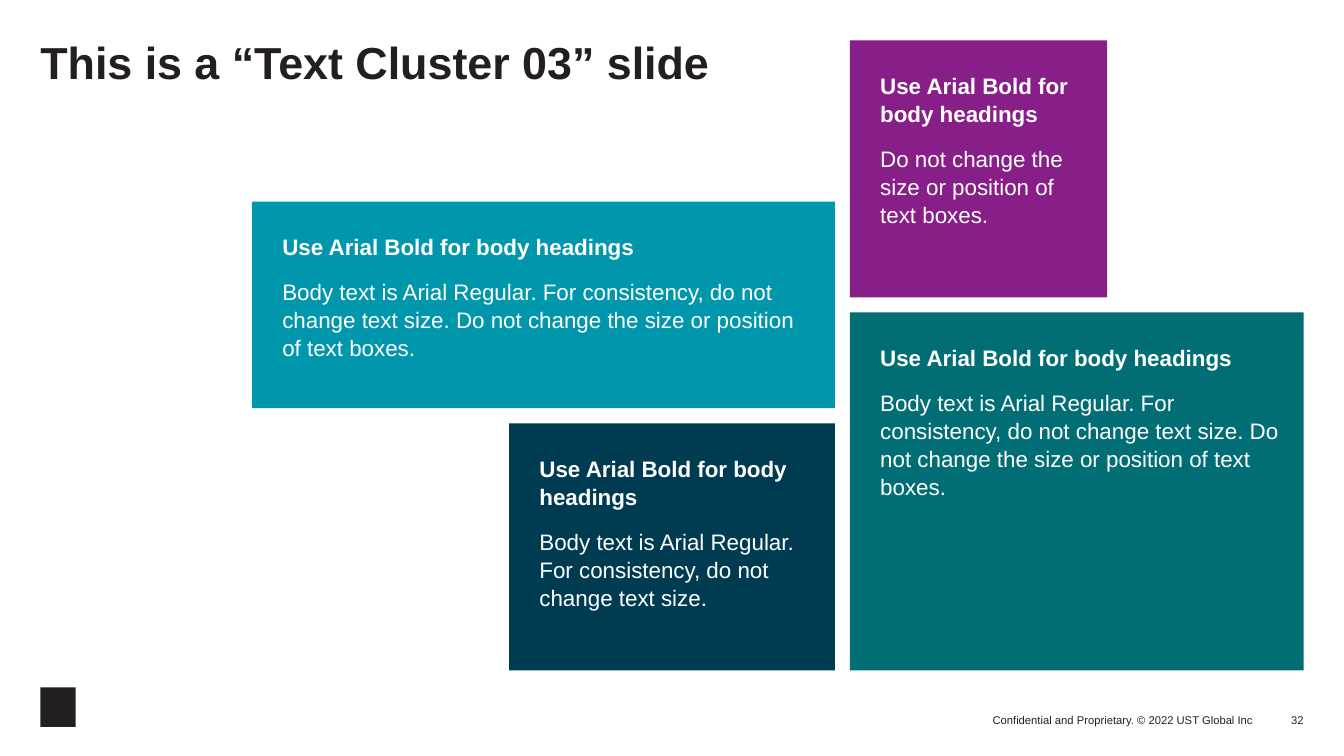
from dataclasses import dataclass

from lxml import etree
from pptx import Presentation
from pptx.dml.color import RGBColor
from pptx.enum.shapes import MSO_SHAPE
from pptx.enum.text import MSO_ANCHOR, MSO_AUTO_SIZE, PP_ALIGN
from pptx.oxml.ns import qn
from pptx.util import Inches, Pt

RECT = MSO_SHAPE.RECTANGLE
TOP, BOTTOM = MSO_ANCHOR.TOP, MSO_ANCHOR.BOTTOM
LEFT, RIGHT = PP_ALIGN.LEFT, PP_ALIGN.RIGHT
NO_AUTOFIT = MSO_AUTO_SIZE.NONE
FONT, INK, WHITE = "Arial", "231F20", "FFFFFF"
COMPARISON_LAYOUT = 4  # title and four body placeholders
HEADING = "Use Arial Bold for body headings"


@dataclass
class Box:
    left: float
    top: float
    width: float
    height: float


@dataclass
class Card:
    box: Box
    fill: str
    body: str


CARDS = [
    Card(Box(8.43, 0.4, 2.55, 2.55), "881E87",
         "Do not change the size or position of text boxes."),
    Card(Box(2.5, 2, 5.78, 2.05), "0097AC",
         "Body text is Arial Regular. For consistency, do not change text size. "
         "Do not change the size or position of text boxes."),
    Card(Box(8.43, 3.1, 4.5, 3.55), "006E74",
         "Body text is Arial Regular. For consistency, do not change text size. "
         "Do not change the size or position of text boxes."),
    Card(Box(5.05, 4.2, 3.23, 2.45), "003C51",
         "Body text is Arial Regular. For consistency, do not change text size."),
]


def paint(fill, color: str) -> None:
    fill.solid()
    fill.fore_color.rgb = RGBColor.from_string(color)


def place(sp, box: Box) -> None:
    sp.left, sp.top = Inches(box.left), Inches(box.top)
    sp.width, sp.height = Inches(box.width), Inches(box.height)


def set_frame(tf, anchor, near: float = 0, far: float = 0) -> None:
    tf.word_wrap = True
    tf.auto_size = NO_AUTOFIT
    tf.vertical_anchor = anchor
    tf.margin_left = tf.margin_top = Inches(near)
    tf.margin_right = tf.margin_bottom = Inches(far)


def format_paragraph(p, size: float, color: str, bold: bool = False, align=LEFT) -> None:
    p.alignment = align
    p.space_before = Pt(0)
    for r in p.runs:
        r.font.name, r.font.size, r.font.bold = FONT, Pt(size), bold
        paint(r.font.fill, color)


def remove_bullet(p) -> None:
    pPr = p._p.get_or_add_pPr()
    pPr.set("marL", "0")
    pPr.set("indent", "0")
    etree.SubElement(pPr, qn("a:buNone"))


def fill_card(sp, card: Card) -> None:
    place(sp, card.box)
    paint(sp.fill, card.fill)
    tf = sp.text_frame
    set_frame(tf, TOP, 0.3, 0.2)
    tf.text = f"{HEADING}\n{card.body}"
    for i, p in enumerate(tf.paragraphs):
        remove_bullet(p)
        format_paragraph(p, 16, WHITE, bold=i == 0)
        p.line_spacing = 1.05
        p.space_before = Pt(12 * i)


def add_footer(slide, box: Box, text: str) -> None:
    sp = slide.shapes.add_textbox(0, 0, 0, 0)
    place(sp, box)
    set_frame(sp.text_frame, BOTTOM)
    sp.text_frame.text = text
    format_paragraph(sp.text_frame.paragraphs[0], 8, INK, align=RIGHT)


def main() -> None:
    prs = Presentation()
    prs.slide_width, prs.slide_height = Inches(13.33), Inches(7.5)
    slide = prs.slides.add_slide(prs.slide_layouts[COMPARISON_LAYOUT])

    # Title
    title = slide.shapes.title
    place(title, Box(0.4, 0.4, 7.88, 1))
    set_frame(title.text_frame, TOP)
    title.text_frame.text = "This is a “Text Cluster 03” slide"
    p = title.text_frame.paragraphs[0]
    format_paragraph(p, 32, INK, bold=True)
    p.line_spacing = 0.9

    # Text cluster
    bodies = [sp for sp in slide.placeholders if sp.placeholder_format.idx > 0]
    for sp, card in zip(bodies, CARDS):
        fill_card(sp, card)

    # Footer with a plain corner mark
    mark = slide.shapes.add_shape(RECT, 0, 0, 0, 0)
    place(mark, Box(0.4, 6.82, 0.35, 0.39))
    paint(mark.fill, INK)
    mark.line.fill.background()
    mark.shadow.inherit = False
    add_footer(slide, Box(8.99, 7.01, 3.44, 0.2),
               "Confidential and Proprietary. © 2022 UST Global Inc")
    add_footer(slide, Box(12.43, 6.91, 0.5, 0.3), "32")

    prs.save("out.pptx")


if __name__ == "__main__":
    main()
